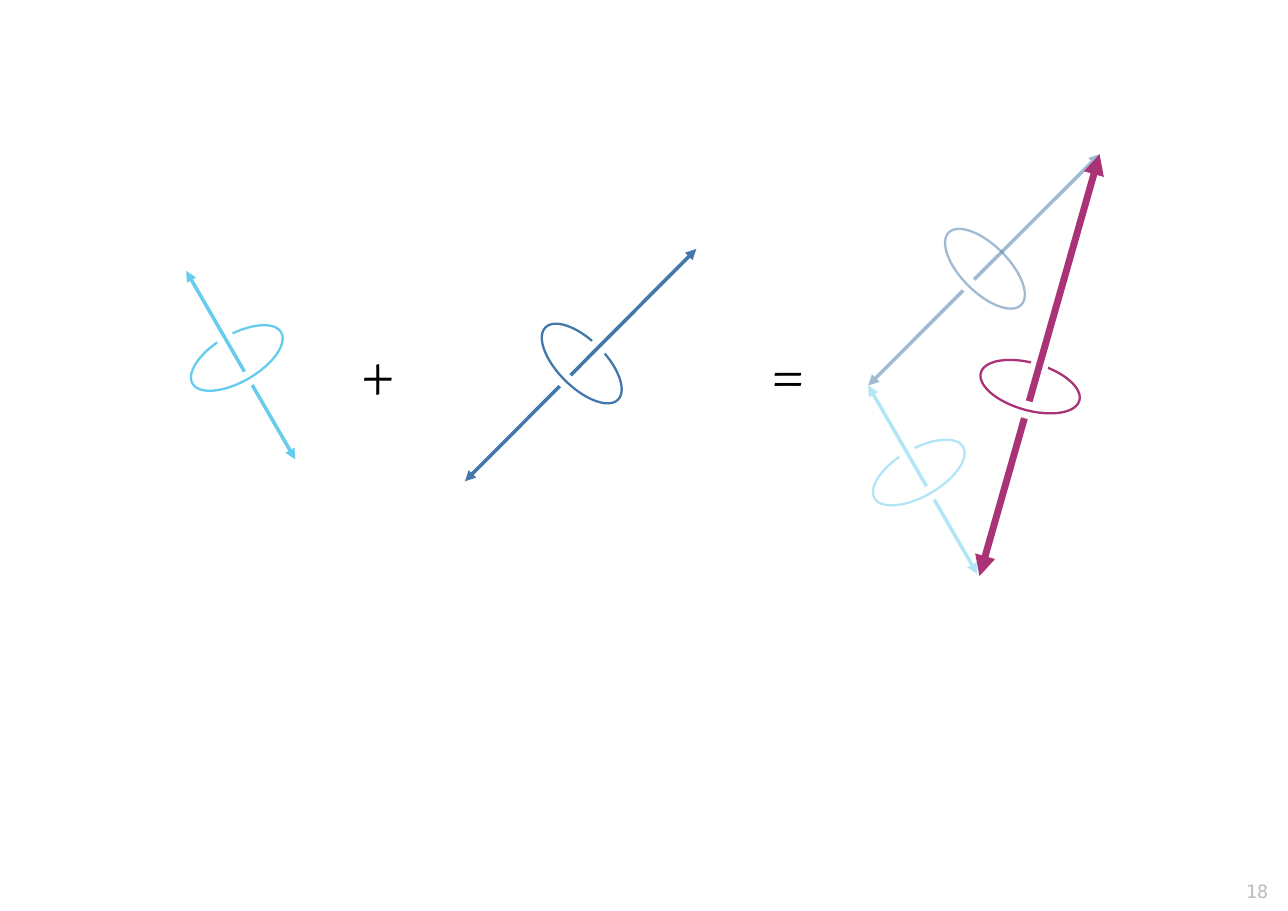
import math

import pptx
import pptx.dml.color
import pptx.enum.shapes
import pptx.enum.text
import pptx.oxml.ns
import pptx.util
from lxml import etree
from pptx.util import Inches

RING_A, RING_B, RING_ARCS = 0.465, 0.215, 12
ARC = 2 * math.pi / RING_ARCS
HANDLE = 4 / 3 * math.tan(ARC / 4)
MASK = 0.16
MASK_AHEAD = 0.345
qn = pptx.oxml.ns.qn


def color(value):
    return pptx.dml.color.RGBColor.from_string(value)


def style_line(s, value, width, faded):
    s.line.color.rgb = color(value)
    s.line.width = pptx.util.Pt(width)
    if faded:
        clr = s.line._get_or_add_ln().find(".//" + qn("a:srgbClr"))
        etree.SubElement(clr, qn("a:alpha"), val="50000")


prs = pptx.Presentation()
prs.slide_width, prs.slide_height = Inches(11.69), Inches(8.27)
slide = prs.slides.add_slide(prs.slide_layouts[6])

BLUE, CYAN, PURPLE = "4477AA", "66CCEE", "AA3377"
sum_group, blue_group, cyan_group = [slide.shapes.add_group_shape() for _ in range(3)]

# group, color, width, faded, foot, tip, ring centre, gap start, gap end, masked
spins = [
    (sum_group, BLUE, 2.3, True, (7.88, 3.5), (9.98, 1.4), (8.94, 2.44), 1.22, 1.36, False),
    (sum_group, CYAN, 2.3, True, (8.87, 5.21), (7.88, 3.5), (8.34, 4.29), 0.78, 0.92, True),
    (sum_group, PURPLE, 4.5, False, (8.89, 5.23), (9.98, 1.4), (9.35, 3.51), 1.49, 1.65, True),
    (blue_group, BLUE, 2.3, False, (4.22, 4.37), (6.32, 2.26), (5.28, 3.3), 1.22, 1.36, True),
    (cyan_group, CYAN, 2.3, False, (2.68, 4.17), (1.69, 2.46), (2.15, 3.25), 0.78, 0.92, True),
]

for group, value, width, faded, foot, tip, centre, gap_start, gap_end, masked in spins:
    shapes = group.shapes
    axis = math.atan2(tip[1] - foot[1], tip[0] - foot[0])
    tilt = axis + math.pi / 2

    points = []
    for i in range(RING_ARCS + 1):
        t = math.pi / 2 - i * ARC
        for handle in (-HANDLE, 0, HANDLE):
            u = RING_A * (math.cos(t) + handle * math.sin(t))
            v = RING_B * (math.sin(t) - handle * math.cos(t))
            points.append((
                Inches(centre[0] + u * math.cos(tilt) - v * math.sin(tilt)),
                Inches(centre[1] + u * math.sin(tilt) + v * math.cos(tilt)),
            ))
    builder = shapes.build_freeform(*points[1])
    builder.add_line_segments(points[2:-1], close=True)
    ring = builder.convert_to_shape()
    segments = list(ring._element.iter(qn("a:lnTo")))
    for i in range(0, len(segments), 3):
        curve = etree.Element(qn("a:cubicBezTo"))
        segments[i].addprevious(curve)
        for segment in segments[i:i + 3]:
            curve.append(segment[0])
            segment.getparent().remove(segment)
    ring.shadow.inherit = False
    ring.fill.background()
    style_line(ring, value, 1.5, faded)

    lower, mask_at, upper = [
        (foot[0] + d * math.cos(axis), foot[1] + d * math.sin(axis))
        for d in (gap_start, gap_end + MASK_AHEAD, gap_end)
    ]
    for start, end in ((lower, foot), (upper, tip)):
        if masked and end == tip:
            s = shapes.add_shape(
                pptx.enum.shapes.MSO_SHAPE.RECTANGLE,
                Inches(mask_at[0] - MASK / 2), Inches(mask_at[1] - MASK / 2),
                Inches(MASK), Inches(MASK))
            s.rotation = math.degrees(tilt)
            s.shadow.inherit = False
            s.fill.solid()
            s.fill.fore_color.rgb = color("FFFFFF")
            s.line.fill.background()
        arrow = shapes.add_connector(
            pptx.enum.shapes.MSO_CONNECTOR.STRAIGHT, *map(Inches, start + end))
        style_line(arrow, value, width, faded)
        etree.SubElement(arrow.line._get_or_add_ln(), qn("a:tailEnd"), type="triangle")
        etree.SubElement(arrow._element.spPr, qn("a:effectLst"))

LEFT, RIGHT = pptx.enum.text.PP_ALIGN.LEFT, pptx.enum.text.PP_ALIGN.RIGHT
labels = [
    ("18", (10.61, 7.94, 1, 0.29), RIGHT, "BBBBBB", {"name": "DejaVu Sans Mono", "size": pptx.util.Pt(12)}),
    ("+", (3.18, 2.99, 0.53, 0.86), LEFT, "000000", {"name": "Vollkorn", "size": pptx.util.Pt(40)}),
    ("=", (6.9, 2.99, 0.53, 0.86), LEFT, "000000", {"name": "Vollkorn", "size": pptx.util.Pt(40)}),
]
for text, box, align, value, font in labels:
    tf = slide.shapes.add_textbox(*map(Inches, box)).text_frame
    tf.word_wrap = False
    tf.auto_size = pptx.enum.text.MSO_AUTO_SIZE.SHAPE_TO_FIT_TEXT
    p = tf.paragraphs[0]
    p.alignment = align
    r = p.add_run()
    r.text = text
    r.font.color.rgb = color(value)
    for name, setting in font.items():
        setattr(r.font, name, setting)

prs.save("out.pptx")
